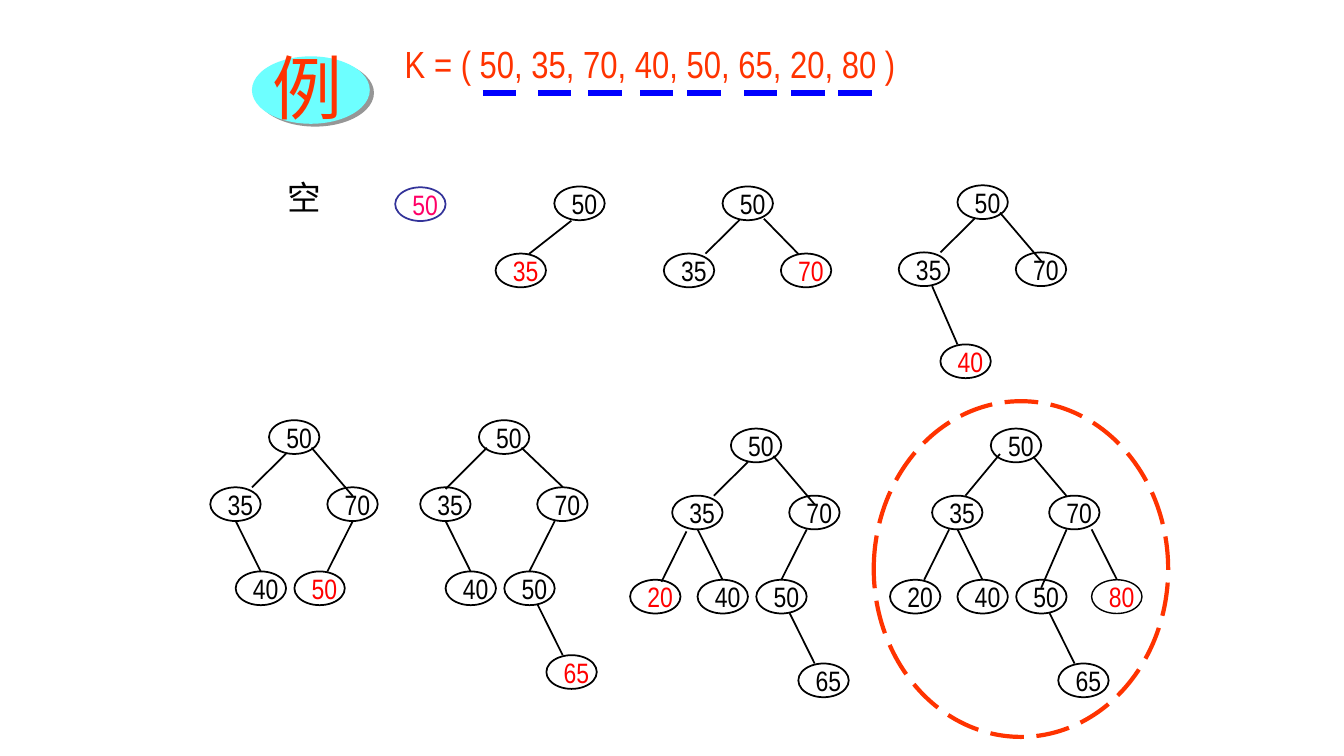
from dataclasses import dataclass

from lxml import etree
from pptx import Presentation
from pptx.dml.color import RGBColor
from pptx.enum import dml, shapes, text
from pptx.oxml import ns
from pptx.util import Cm, Pt

KEYS = "K = ( 50, 35, 70, 40, 50, 65, 20, 80 )"
KEY_MARKS = (12.17, 13.56, 14.83, 16.13, 17.32, 18.75, 19.94, 21.13)
SLOTS = {
    "root": ("50", (0, 0), None),
    "35": ("35", (-1.48, 1.69), (0.43, 0.84, -0.43, 1.69)),
    "70": ("70", (1.47, 1.69), (1.07, 0.69, 2.11, 1.91)),
    "40": ("40", (-0.84, 3.81), (-0.84, 2.54, -0.21, 3.81)),
    "second 50": ("50", (0.64, 3.81), (1.91, 2.54, 1.27, 3.81)),
    "65": ("65", (1.7, 5.92), (1.48, 4.65, 2.11, 5.92)),
    "20": ("20", (-2.54, 3.81), (-1.05, 2.54, -1.68, 3.81)),
    "80": ("80", (2.54, 3.81), (2.54, 2.54, 3.18, 3.81)),
}
INSERT_ORDER = tuple(SLOTS)
TREES = [
    {"origin": (9.96, 4.72), "size": 1},
    {"origin": (13.97, 4.7), "size": 2, "edges": {"35": (0.43, 0.86, -0.64, 1.7)}},
    {"origin": (18.21, 4.7), "size": 3, "edges": {"70": (1.04, 0.81, 1.91, 1.7)}},
    {"origin": (24.13, 4.67), "size": 4, "places": {"40": (-0.43, 4.01)},
     "edges": {"40": (-0.64, 2.54, 0, 4.01)}},
    {"origin": (6.78, 10.59), "size": 5, "edges": {"second 50": (2.11, 2.54, 1.47, 3.81)}},
    {"origin": (12.07, 10.59), "size": 6,
     "edges": {"35": (0.2, 0.69, -0.84, 1.73), "70": (1.07, 0.69, 2.11, 1.68)}},
    {"origin": (18.42, 10.8), "size": 7, "edges": {"20": (-1.12, 2.59, -1.75, 3.86)}},
    {"origin": (24.97, 10.8), "size": 8,
     "edges": {"35": (0.23, 0.64, -0.64, 1.69), "70": (1.07, 0.71, 1.91, 1.7),
               "second 50": (1.91, 2.54, 1.27, 4.01)}},
]


@dataclass(frozen=True)
class Theme:
    """Colours, fonts and sizes of the slide."""
    ink: str = "000000"
    accent: str = "FF3300"
    newest: str = "FF0000"
    first_text: str = "FF0066"
    first_line: str = "333399"
    mark: str = "0000FF"
    badge: str = "6DFFFF"
    badge_shadow: str = "969696"
    font: str = "Arial Narrow"
    badge_font: str = "Noto Sans CJK JP"
    node_size: float = 20
    empty_size: float = 24
    keys_size: float = 27
    badge_size: float = 50
    edge: float = 1.25
    ring: float = 3
    underline: float = 4


THEME = Theme()


def add_shadow(effects, colour, distance, angle):
    """Put an outer shadow into an effect list."""
    shadow = etree.SubElement(effects, ns.qn("a:outerShdw"), dist=str(Pt(distance)),
                              dir=str(angle * 60000), algn="ctr", rotWithShape="0")
    etree.SubElement(shadow, ns.qn("a:srgbClr"), val=colour)


def write(shape, words, size, colour, font=THEME.font, **frame_format):
    """Write one left-aligned run and return it."""
    frame = shape.text_frame
    for name, value in frame_format.items():
        setattr(frame, name, value)
    paragraph = frame.paragraphs[0]
    paragraph.alignment = text.PP_ALIGN.LEFT
    run = paragraph.add_run()
    run.text = words
    for name, value in {"size": Pt(size), "name": font, "bold": False}.items():
        setattr(run.font, name, value)
    run.font.color.rgb = RGBColor.from_string(colour)
    latin = run._r.rPr.find(ns.qn("a:latin"))
    latin.addnext(latin.makeelement(ns.qn("a:ea"), {"typeface": font}))
    return run


def set_line(line, colour, width, dash=None):
    """Colour a line and give it a width and dash."""
    line.color.rgb = RGBColor.from_string(colour)
    line.width = Pt(width)
    if dash:
        line.dash_style = dash


def add_oval(parent, box):
    """Add an unfilled ellipse without shadow."""
    shape = parent.add_shape(shapes.MSO_SHAPE.OVAL, *map(Cm, box))
    shape.shadow.inherit = False
    shape.fill.background()
    return shape


def add_line(parent, ends, colour, width):
    """Add a straight line without shadow."""
    line = parent.add_connector(shapes.MSO_CONNECTOR.STRAIGHT, *map(Cm, ends))
    set_line(line.line, colour, width)
    etree.SubElement(line._element.spPr, ns.qn("a:effectLst"))


def add_tree(slide, origin, size, places=None, edges=None):
    """Draw the search tree after a number of insertions."""
    group = slide.shapes.add_group_shape().shapes if size > 1 else slide.shapes
    left, top = origin
    for name in INSERT_ORDER[:size]:
        label, place, edge = SLOTS[name]
        x, y = (places or {}).get(name, place)
        edge = (edges or {}).get(name, edge)
        if edge:
            x1, y1, x2, y2 = edge
            add_line(group, (left + x1, top + y1, left + x2, top + y2), THEME.ink, THEME.edge)
        node = add_oval(group, (left + x, top + y, 1.27, 0.85))
        colour = THEME.newest if name == INSERT_ORDER[size - 1] else THEME.ink
        if size == 1:
            colour = THEME.first_text
        set_line(node.line, THEME.first_line if size == 1 else THEME.ink,
                 1 if name == "80" else THEME.edge)
        write(node, label, THEME.node_size, colour, word_wrap=False,
              vertical_anchor=text.MSO_ANCHOR.MIDDLE)


def add_badge(slide):
    """Draw the shaded example badge."""
    group = slide.shapes.add_group_shape().shapes
    oval = add_oval(group, (6.35, 1.42, 2.97, 1.7))
    oval.fill.solid()
    oval.fill.fore_color.rgb = RGBColor.from_string(THEME.badge)
    oval.line.fill.background()
    add_shadow(oval._element.spPr.find(ns.qn("a:effectLst")), THEME.badge_shadow, 3.6, 34)
    box = group.add_textbox(*map(Cm, (6.63, 0.99, 3.07, 2.36)))
    run = write(box, "例", THEME.badge_size, THEME.accent, THEME.badge_font, word_wrap=True,
                auto_size=text.MSO_AUTO_SIZE.SHAPE_TO_FIT_TEXT)
    fill = run._r.rPr.find(ns.qn("a:solidFill"))
    effects = fill.makeelement(ns.qn("a:effectLst"), {})
    fill.addnext(effects)
    add_shadow(effects, THEME.ink, 3, 45)


def main():
    """Build and save the slide."""
    presentation = Presentation()
    presentation.slide_width, presentation.slide_height = Cm(33.87), Cm(19.05)
    slide = presentation.slides.add_slide(presentation.slide_layouts[5])
    grow = text.MSO_AUTO_SIZE.SHAPE_TO_FIT_TEXT

    title = slide.shapes.title
    title.left, title.top, title.width, title.height = map(Cm, (9.53, 0.91, 18.16, 1.4))
    write(title, KEYS, THEME.keys_size, THEME.accent, word_wrap=True, auto_size=grow,
          margin_left=Cm(0.67), vertical_anchor=text.MSO_ANCHOR.TOP)
    for left in KEY_MARKS:
        add_line(slide.shapes, (left, 2.34, left + 0.84, 2.34), THEME.mark, THEME.underline)

    empty = slide.shapes.add_textbox(*map(Cm, (6.99, 4.34, 1.37, 5.13)))
    write(empty, "空", THEME.empty_size, THEME.ink, word_wrap=False, auto_size=grow)
    for tree in TREES:
        add_tree(slide, **tree)
    ring = add_oval(slide.shapes, (22.02, 10.11, 7.42, 8.46))
    set_line(ring.line, THEME.accent, THEME.ring, dml.MSO_LINE.LONG_DASH)
    add_badge(slide)
    presentation.save("out.pptx")


if __name__ == "__main__":
    main()
